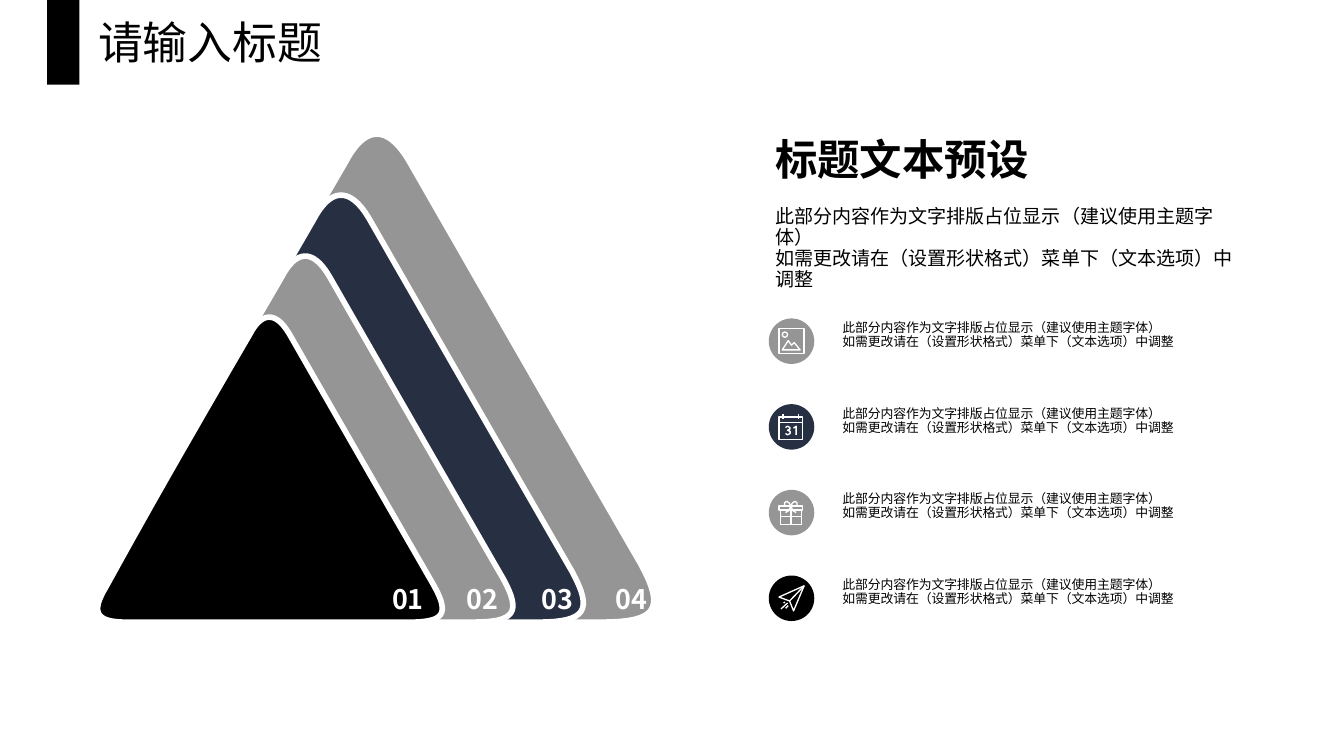
from copy import deepcopy

from lxml import etree
from pptx import Presentation
from pptx.dml.color import RGBColor
from pptx.enum.shapes import MSO_SHAPE
from pptx.enum.text import MSO_ANCHOR, MSO_AUTO_SIZE, PP_ALIGN
from pptx.oxml.ns import qn
from pptx.util import Cm, Pt

RECTANGLE, OVAL = MSO_SHAPE.RECTANGLE, MSO_SHAPE.OVAL
TOP, MIDDLE = MSO_ANCHOR.TOP, MSO_ANCHOR.MIDDLE
FIXED = MSO_AUTO_SIZE.NONE
LEFT, JUSTIFY = PP_ALIGN.LEFT, PP_ALIGN.JUSTIFY

FONT = "Noto Sans CJK SC"
BLACK, WHITE, GREY, NAVY = "000000", "FFFFFF", "959595", "272F42"
GUIDANCE = ("此部分内容作为文字排版占位显示（建议使用主题字体）\v"
            "如需更改请在（设置形状格式）菜单下（文本选项）中调整")

TRIANGLE_START = (49.5, 100)
TRIANGLE_CURVES = [
    [(36.7, 100), (23.6, 100), (10.3, 100)],
    [(2.1, 100), (0, 97.3), (4.4, 88.9)],
    [(17.3, 61.7), (30.8, 34.8), (44.4, 7.8)],
    [(47.7, 0.5), (51.6, 0), (55.4, 7.3)],
    [(68.9, 34.5), (82.2, 61.2), (95.8, 88.4)],
    [(100, 97.3), (98.6, 100), (89, 100)],
    [(76.2, 100), (63, 100), (49.5, 100)],
]


def frame(left, top, right, bottom):
    return [(left, top), (right, top), (right, bottom), (left, bottom), (left, top)]


def mirror(points, axis):
    return [(2 * axis - x, y) for x, y in points]


SUN = [(7, 5), (6.4, 6.4), (5, 7), (3.6, 6.4), (3, 5),
       (3.6, 3.6), (5, 3), (6.4, 3.6), (7, 5)]
BOW = [(9.5, 6), (8.5, 3), (6.5, 1.5), (4.8, 2.5), (4.8, 5)]
RIBBON = [(9.5, 5), (8, 8.5), (5.5, 10)]
PHOTO = [frame(0.5, 0.5, 19.5, 19.5), SUN,
         [(3, 16.5), (7.5, 9.5), (10, 13), (12, 11), (16.5, 16.5), (3, 16.5)]]
CALENDAR = [frame(0.5, 2.5, 18.5, 19.5), [(0.5, 6.5), (18.5, 6.5)],
            [(3.5, 0), (3.5, 4)], [(15.5, 0), (15.5, 4)],
            [(5.5, 10.5), (7, 9.5), (8.8, 10.5), (8.8, 11.8), (7, 12.5),
             (9, 13.5), (9, 15), (7, 16), (5.5, 15)],
            [(11.5, 11), (13.5, 9.5), (13.5, 16)]]
GIFT = [frame(0.5, 5, 18.5, 8), frame(1.5, 8, 17.5, 19),
        [(9.5, 5), (9.5, 19)], [(1.5, 13), (17.5, 13)],
        BOW, mirror(BOW, 9.5), RIBBON, mirror(RIBBON, 9.5)]
PLANE = [[(0.5, 9), (19.5, 0.5), (11.5, 19.5), (8.5, 12), (0.5, 9)],
         [(8.5, 12), (19.5, 0.5)], [(2, 18), (7, 13.5)],
         [(5.5, 17.5), (7.5, 15.5)], [(4, 13.5), (5, 12.8)]]


def color(value):
    return RGBColor.from_string(value)


def place(shape, box):
    shape.left, shape.top, shape.width, shape.height = map(Cm, box)


def paint(shape, fill=None, line=None, width=0):
    shape.shadow.inherit = False
    if fill:
        shape.fill.solid()
        shape.fill.fore_color.rgb = color(fill)
    else:
        shape.fill.background()
    if line:
        shape.line.color.rgb = color(line)
        shape.line.width = Pt(width)
    else:
        shape.line.fill.background()


def write(shape, text, size, ink=BLACK, bold=False, align=LEFT,
          anchor=TOP, spacing=1, inset=0, wrap=True):
    frame_of_text = shape.text_frame
    frame_of_text.text = text
    frame_of_text.word_wrap = wrap
    frame_of_text.auto_size = FIXED
    frame_of_text.vertical_anchor = anchor
    frame_of_text.margin_top = frame_of_text.margin_bottom = Cm(inset)
    paragraph = frame_of_text.paragraphs[0]
    paragraph.alignment = align
    paragraph.line_spacing = spacing
    paragraph.space_before = Pt(0)
    for run in paragraph.runs:
        run.font.size = Pt(size)
        run.font.bold = bold
        run.font.name = FONT
        run.font.color.rgb = color(ink)
        properties = run._r.get_or_add_rPr()
        etree.SubElement(properties, qn("a:ea")).set("typeface", FONT)
    for line_break in paragraph._p.findall(qn("a:br")):
        line_break.insert(0, deepcopy(properties))


def add_text(slide, box, text, size, **style):
    label = slide.shapes.add_textbox(*map(Cm, box))
    write(label, text, size, **style)


def curve_points(start, curves, steps=16):
    points = [start]
    for a, b, end in curves:
        begin = points[-1]
        for step in range(1, steps + 1):
            t = step / steps
            weights = ((1 - t) ** 3, 3 * t * (1 - t) ** 2, 3 * t * t * (1 - t), t ** 3)
            points.append(tuple(
                sum(w * p[axis] for w, p in zip(weights, (begin, a, b, end)))
                for axis in (0, 1)))
    return points


def add_outline(slide, box, contours, grid):
    left, top, width, height = box
    scaled = [[(Cm(left + x * width / grid), Cm(top + y * height / grid))
               for x, y in contour] for contour in contours]
    builder = slide.shapes.build_freeform(*scaled[0][0])
    builder.add_line_segments(scaled[0][1:], close=False)
    for contour in scaled[1:]:
        builder.move_to(*contour[0])
        builder.add_line_segments(contour[1:], close=False)
    return builder.convert_to_shape()


def title_bar(slide, box):
    left, top, width, height = box
    title = slide.shapes.title
    place(title, (left + 0.71, top + 0.15, width - 0.71, 1.27))
    write(title, "请输入标题", 24, align=JUSTIFY, anchor=MIDDLE)
    marker = slide.shapes.add_shape(RECTANGLE, *map(Cm, (left, top, 0.61, height)))
    paint(marker, BLACK)


def nested_triangles(slide, box):
    left, top, width, height = box
    outline = curve_points(TRIANGLE_START, TRIANGLE_CURVES)
    for level, fill in reversed(list(enumerate((BLACK, GREY, NAVY, GREY)))):
        scale = 1 - (3 - level) * 0.125
        layer_height = height * scale
        layer_box = (left, top + height - layer_height, width * scale, layer_height)
        paint(add_outline(slide, layer_box, [outline], 100), fill, WHITE, 3)
        number_box = (left + 5.46 + 1.41 * level, top + height - 0.74, 1.45, 0.74)
        add_text(slide, number_box, f"{level + 1:02}", 14.4, ink=WHITE, bold=True)


def introduction(slide, box):
    left, top, width, height = box
    add_text(slide, (left, top, width, 1.04), "标题文本预设", 22.7, bold=True, wrap=False)
    description = slide.placeholders[1]
    place(description, (left, top + 1.28, width, height - 1.28))
    write(description, GUIDANCE, 10.2, spacing=0.91, inset=0.13)
    properties = description.text_frame.paragraphs[0]._p.get_or_add_pPr()
    properties.set("marL", "0")
    properties.set("indent", "0")
    etree.SubElement(properties, qn("a:buNone"))


def icon_item(slide, box, fill, icon):
    left, top, width, height = box
    badge = slide.shapes.add_shape(OVAL, *map(Cm, (left, top + 0.08, 0.86, 0.86)))
    paint(badge, fill)
    add_text(slide, (left + 1.14, top, width - 1.14, height), GUIDANCE, 6.9,
             spacing=0.91, inset=0.13)
    symbol = add_outline(slide, (left + 0.18, top + 0.26, 0.5, 0.5), icon, 20)
    paint(symbol, line=WHITE, width=0.7)


def main():
    presentation = Presentation()
    presentation.slide_width, presentation.slide_height = Cm(25.4), Cm(14.29)
    slide = presentation.slides.add_slide(presentation.slide_layouts[1])
    nested_triangles(slide, (1.7, 2.34, 10.87, 9.42))
    introduction(slide, (14.4, 2.51, 9.37, 3.06))
    items = ((GREY, PHOTO), (NAVY, CALENDAR), (GREY, GIFT), (BLACK, PLANE))
    for row, (fill, icon) in enumerate(items):
        icon_item(slide, (14.53, 5.94 + 1.62 * row, 9.37, 0.97), fill, icon)
    title_bar(slide, (0.89, 0, 5.81, 1.6))
    presentation.save("out.pptx")


if __name__ == "__main__":
    main()
